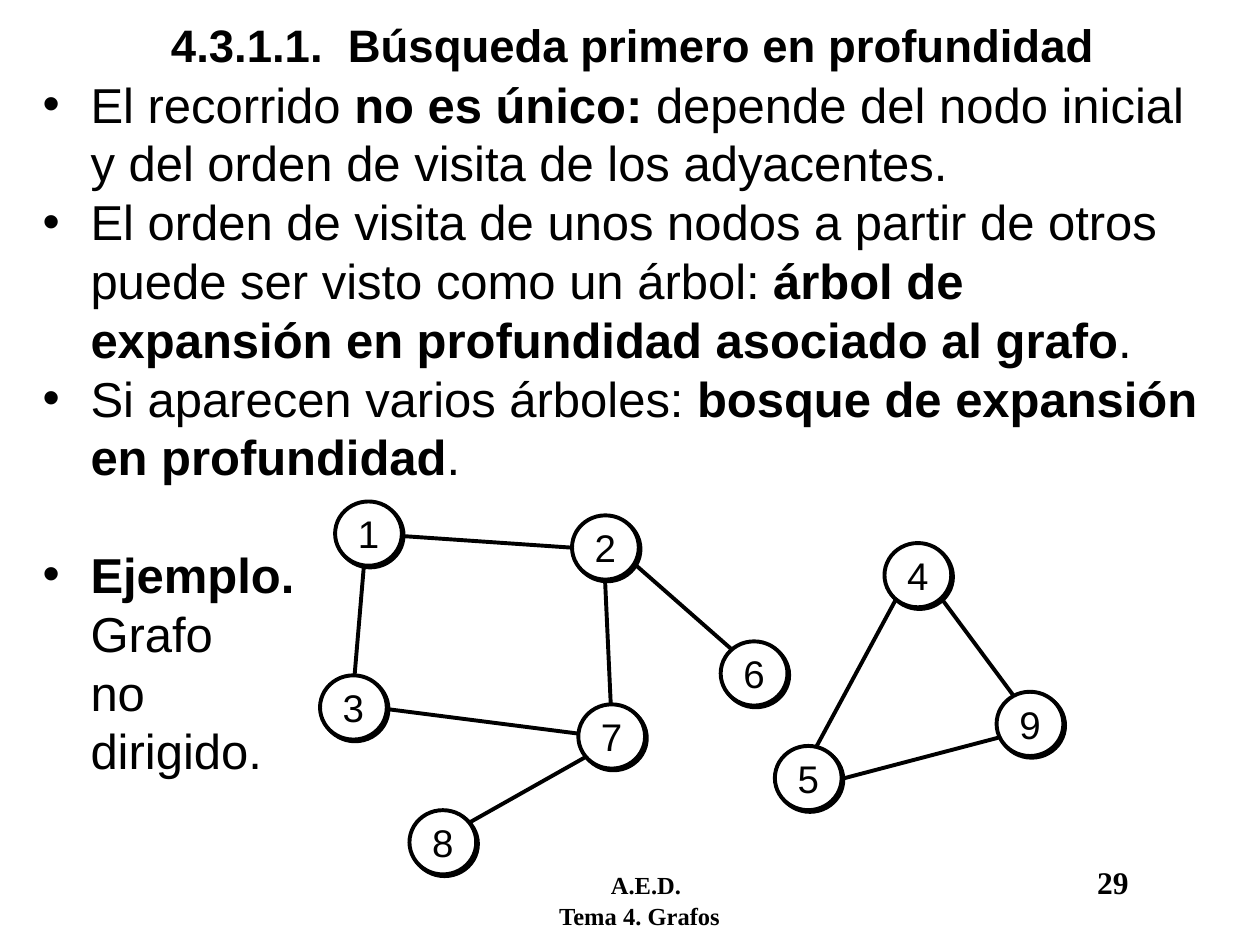
import pptx
import pptx.dml.color
import pptx.enum.shapes
import pptx.enum.text
import pptx.oxml
import pptx.oxml.ns
import pptx.util
from lxml import etree

PX = 9144  # 100 px to the inch
BLACK = pptx.dml.color.RGBColor(0, 0, 0)
WHITE = pptx.dml.color.RGBColor(255, 255, 255)
SANS, SERIF = "Arial", "Times New Roman"
LEFT, CENTER = pptx.enum.text.PP_ALIGN.LEFT, pptx.enum.text.PP_ALIGN.CENTER
TOP, MIDDLE = pptx.enum.text.MSO_ANCHOR.TOP, pptx.enum.text.MSO_ANCHOR.MIDDLE
PITCH = 33.6  # body line height in points

BULLETS = [
    [("El recorrido ", {}), ("no es único:", {"bold": True}),
     (" depende del nodo inicial y del orden de visita de los adyacentes.", {})],
    [("El orden de visita de unos nodos a partir de otros puede ser visto como un árbol: ", {}),
     ("árbol de expansión en profundidad asociado al grafo", {"bold": True}), (".", {})],
    [("Si aparecen varios árboles: ", {}),
     ("bosque de expansión en profundidad", {"bold": True}), (".", {})],
    [("Ejemplo.\n", {"bold": True}), ("Grafo\nno\ndirigido.", {})],
]

# Top left corner of each node and ends of each edge, relative to the graph box
NODES = {1: (12, 0), 2: (200, 11), 3: (0, 138), 7: (205, 161), 8: (71, 245),
         6: (318, 111), 4: (448, 33), 9: (537, 151), 5: (361, 194)}
NODE_W, NODE_H = 53, 51
EDGES = [
    (59, 27, 205, 37),     # 1-2
    (226, 58, 231, 167),   # 2-7
    (214, 201, 113, 258),  # 7-8
    (35, 49, 27, 143),     # 1-3
    (47, 164, 211, 185),   # 3-7
    (250, 50, 332, 122),   # 2-6
    (458, 76, 391, 200),   # 4-5
    (488, 70, 554, 159),   # 4-9
    (407, 222, 544, 186),  # 5-9
]


def px(*values):
    return [pptx.util.Emu(v * PX) for v in values]


def sub(parent, tag, **attrs):
    return etree.SubElement(parent, pptx.oxml.ns.qn(tag), attrs)


def write(p, text, font=SANS, size=28, bold=False):
    """Add formatted text to a paragraph; a newline becomes a line break."""
    for i, line in enumerate(text.split("\n")):
        if i:
            p.add_line_break()
        if line:
            r = p.add_run()
            r.text = line
            r.font.name, r.font.size, r.font.bold = font, pptx.util.Pt(size), bold
            r.font.color.rgb = BLACK


def set_frame(tf, wrap=True, anchor=TOP, align=LEFT):
    tf.word_wrap, tf.vertical_anchor = wrap, anchor
    tf.paragraphs[0].alignment = align
    return tf


def add_box(s, box, **frame):
    return set_frame(s.shapes.add_textbox(*px(*box)).text_frame, **frame)


def add_title(s, box):
    tf = add_box(s, box, anchor=MIDDLE, align=CENTER)
    write(tf.paragraphs[0], "4.3.1.1.  Búsqueda primero en profundidad", size=26, bold=True)


def add_body(s, box):
    tf = add_box(s, box)
    for i, runs in enumerate(BULLETS):
        p = tf.add_paragraph() if i else tf.paragraphs[0]
        pPr = p._p.get_or_add_pPr()
        pPr.set("marL", str(38 * PX))
        pPr.set("indent", str(-38 * PX))
        sub(sub(pPr, "a:buClr"), "a:srgbClr", val=str(BLACK))
        sub(pPr, "a:buFont", typeface=SANS)
        sub(pPr, "a:buChar", char="•")
        p.line_spacing = pptx.util.Pt(PITCH)
        for text, style in runs:
            write(p, text, **style)
    tf.paragraphs[-1].space_before = pptx.util.Pt(PITCH)


def add_footer(s, box):
    tf = add_box(s, box)
    first, second = tf.paragraphs[0], tf.add_paragraph()
    for p, stops in ((first, (113, 499)), (second, (72,))):
        tabs = sub(p._p.get_or_add_pPr(), "a:tabLst")
        for stop in stops:
            sub(tabs, "a:tab", pos=str(stop * PX), algn="l")
    write(first, "\tA.E.D.\t", font=SERIF, size=14, bold=True)
    write(first, "29", font=SERIF, size=18, bold=True)
    write(second, "\tTema 4. Grafos", font=SERIF, size=14, bold=True)


def set_line(line):
    line.color.rgb, line.width = BLACK, pptx.util.Pt(2.25)


def add_edge(shapes, ends):
    straight = pptx.enum.shapes.MSO_CONNECTOR.STRAIGHT
    edge = shapes.add_connector(straight, *px(*ends))
    set_line(edge.line)
    sub(edge._element.spPr, "a:effectLst")


def add_node(shapes, label, x, y):
    oval = pptx.enum.shapes.MSO_SHAPE.OVAL
    sp = shapes.add_shape(oval, *px(x, y, NODE_W, NODE_H))
    sp.fill.solid()
    sp.fill.fore_color.rgb = WHITE
    set_line(sp.line)
    sp.shadow.inherit = False
    effects = sp._element.spPr.find(pptx.oxml.ns.qn("a:effectLst"))
    shadow = sub(effects, "a:outerShdw", dist=str(pptx.util.Pt(1.4)),
                 dir="2700000", algn="ctr", rotWithShape="0")
    sub(shadow, "a:srgbClr", val=str(BLACK))
    tf = set_frame(sp.text_frame, wrap=False, anchor=MIDDLE, align=CENTER)
    write(tf.paragraphs[0], str(label), size=22)


def add_graph(s, left, top):
    shapes = s.shapes.add_group_shape().shapes
    for x1, y1, x2, y2 in EDGES:
        add_edge(shapes, (left + x1, top + y1, left + x2, top + y2))
    for label, (x, y) in NODES.items():
        add_node(shapes, label, left + x, top + y)


def main():
    prs = pptx.Presentation()
    prs.slide_width, prs.slide_height = px(1000, 750)
    s = prs.slides.add_slide(prs.slide_layouts[6])
    add_footer(s, (362, 680, 580, 50))
    add_title(s, (36, 0, 933, 70))
    add_body(s, (24, 54, 952, 446))
    add_graph(s, 254, 398)
    prs.save("out.pptx")


if __name__ == "__main__":
    main()
